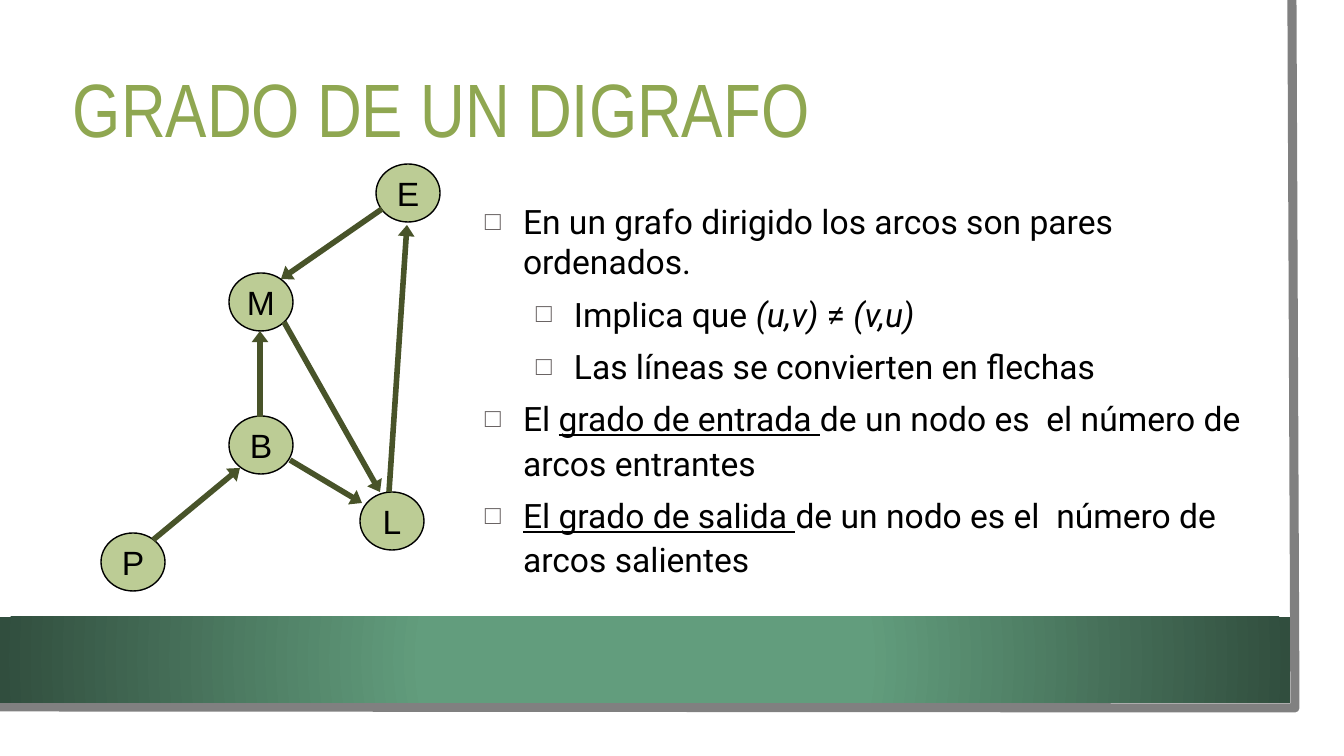
from lxml.etree import SubElement
from pptx import Presentation
from pptx.dml.color import RGBColor
from pptx.enum.shapes import MSO_CONNECTOR, MSO_SHAPE
from pptx.enum.text import MSO_ANCHOR, MSO_AUTO_SIZE, PP_ALIGN
from pptx.oxml.ns import qn
from pptx.util import Pt

# Content
TITLE = "GRADO DE UN DIGRAFO"
# level, line spacing, space before, runs of (text, style)
LINES = [
    (0, 1.0, 0, [("En un grafo dirigido los arcos son pares ordenados.", {})]),
    (1, 1.0, 8.6, [("Implica que ", {}), ("(u,v) ", {"italic": True}),
                   ("≠ ", {}), ("(v,u)", {"italic": True})]),
    (1, 1.0, 8.6, [("Las líneas se convierten en flechas", {})]),
    (0, 1.1, 5.7, [("El ", {}), ("grado de entrada ", {"underline": True}),
                   ("de un nodo es  el número de arcos entrantes", {})]),
    (0, 1.1, 5.7, [("El grado de salida ", {"underline": True}),
                   ("de un nodo es el  número de arcos salientes", {})]),
]
NODES = {"E": (376, 164), "L": (360, 492), "B": (229, 416),
         "M": (229, 273), "P": (101, 533)}
ARCS = [
    (389, 492, 407, 225),  # L to E
    (382, 209, 281, 279),  # E to M
    (284, 322, 380, 492),  # M to L
    (260, 417, 260, 331),  # B to M
    (153, 540, 240, 468),  # P to B
    (290, 460, 362, 503),  # B to L
]
COLORS = {"white": "FFFFFF", "black": "000000", "title": "8FA751",
          "node": "BCCC95", "arc": "485329", "frame": "808080",
          "bullet": "696363", "mid": "629D7D", "edge": "314E3E"}
FRAME = {"margin_left": 0, "margin_right": 0, "margin_top": 0,
         "margin_bottom": 0, "auto_size": MSO_AUTO_SIZE.NONE}


def px(*nums):
    return [round(n * 914400 / 100.8) for n in nums]


def color(name):
    return RGBColor.from_string(COLORS[name])


def apply(item, vals):
    for key, val in vals.items():
        setattr(item, key, val)


def add(tag, parent, **vals):
    return SubElement(parent, qn("a:" + tag), vals)


def write(para, text, face, size, hue, **style):
    run = para.add_run()
    run.text = text
    apply(run.font, {"name": face, "size": Pt(size), **style})
    run.font.color.rgb = color(hue)


def draw(kind, box, fill):
    shape = shapes.add_shape(kind, *px(*box))
    shape.shadow.inherit = False
    shape.fill.solid()
    shape.fill.fore_color.rgb = color(fill)
    shape.line.fill.background()
    return shape


def place(holder, box, anchor):
    apply(holder, dict(zip(("left", "top", "width", "height"), px(*box))))
    apply(holder.text_frame, {**FRAME, "word_wrap": True,
                              "vertical_anchor": anchor})
    return holder.text_frame


deck = Presentation()
deck.slide_width, deck.slide_height = px(1344, 756)
slide = deck.slides.add_slide(deck.slide_layouts[1])
shapes = slide.shapes

# Sheet and grey edge
draw(MSO_SHAPE.RECTANGLE, (0, 0, 1320, 733), "white")
path = shapes.build_freeform(*px(1292, 0), scale=1.0)
path.add_line_segments([px(1295, 708), px(0, 707)], close=False)
edge = path.convert_to_shape()
edge.shadow.inherit = False
edge.fill.background()
edge.line.color.rgb = color("frame")
edge.line.width = Pt(6.5)

# Green band, lighter in the middle
band = draw(MSO_SHAPE.RECTANGLE, (0, 617, 1290, 86), "mid")
props = band._element.spPr
grad = add("gradFill", props, rotWithShape="1")
stops = add("gsLst", grad)
for pos, name in ((34, "mid"), (100, "edge")):
    add("srgbClr", add("gs", stops, pos=str(pos * 1000)), val=COLORS[name])
focus = dict.fromkeys("ltrb", "50000")
add("fillToRect", add("path", grad, path="circle"), **focus)
props.replace(props.find(qn("a:solidFill")), grad)

# Title
frame = place(shapes.title, (73, 44, 1146, 127), MSO_ANCHOR.MIDDLE)
para = frame.paragraphs[0]
para.alignment = PP_ALIGN.LEFT
write(para, TITLE, "Arial Narrow", 54, "title")

# Nodes
for name, spot in NODES.items():
    node = draw(MSO_SHAPE.OVAL, (*spot, 64, 58), "node")
    node.line.color.rgb = color("black")
    node.line.width = Pt(1)
    apply(node.text_frame, {**FRAME, "word_wrap": False,
                            "vertical_anchor": MSO_ANCHOR.MIDDLE})
    para = node.text_frame.paragraphs[0]
    para.alignment = PP_ALIGN.CENTER
    write(para, name, "Arial", 24, "black")

# Arcs
for ends in ARCS:
    arc = shapes.add_connector(MSO_CONNECTOR.STRAIGHT, *px(*ends))
    arc.line.color.rgb = color("arc")
    arc.line.width = Pt(4)
    props = arc._element.spPr
    add("tailEnd", props.find(qn("a:ln")), type="triangle", w="med", len="sm")
    add("effectLst", props)

# Bulleted text
body = slide.placeholders[1]
frame = place(body, (484, 201, 784, 340), MSO_ANCHOR.TOP)
for num, (level, pitch, gap, runs) in enumerate(LINES):
    para = frame.add_paragraph() if num else frame.paragraphs[0]
    left, hang = px(39 + 51 * level, -38)
    props = para._p.get_or_add_pPr()
    props.set("marL", str(left))
    props.set("indent", str(hang))
    add("srgbClr", add("buClr", props), val=COLORS["bullet"])
    add("buSzPct", props, val="79000")
    add("buChar", props, char="□")
    add("tab", add("tabLst", props), pos=str(left), algn="l")
    apply(para, {"level": level, "line_spacing": pitch,
                 "space_before": Pt(gap), "alignment": PP_ALIGN.LEFT})
    for text, style in runs:
        write(para, text, "Roboto", 24, "black", **style)

# Bring both placeholders in front of the sheet
for holder in (shapes.title, body):
    shapes._spTree.append(holder._element)

deck.save("out.pptx")
